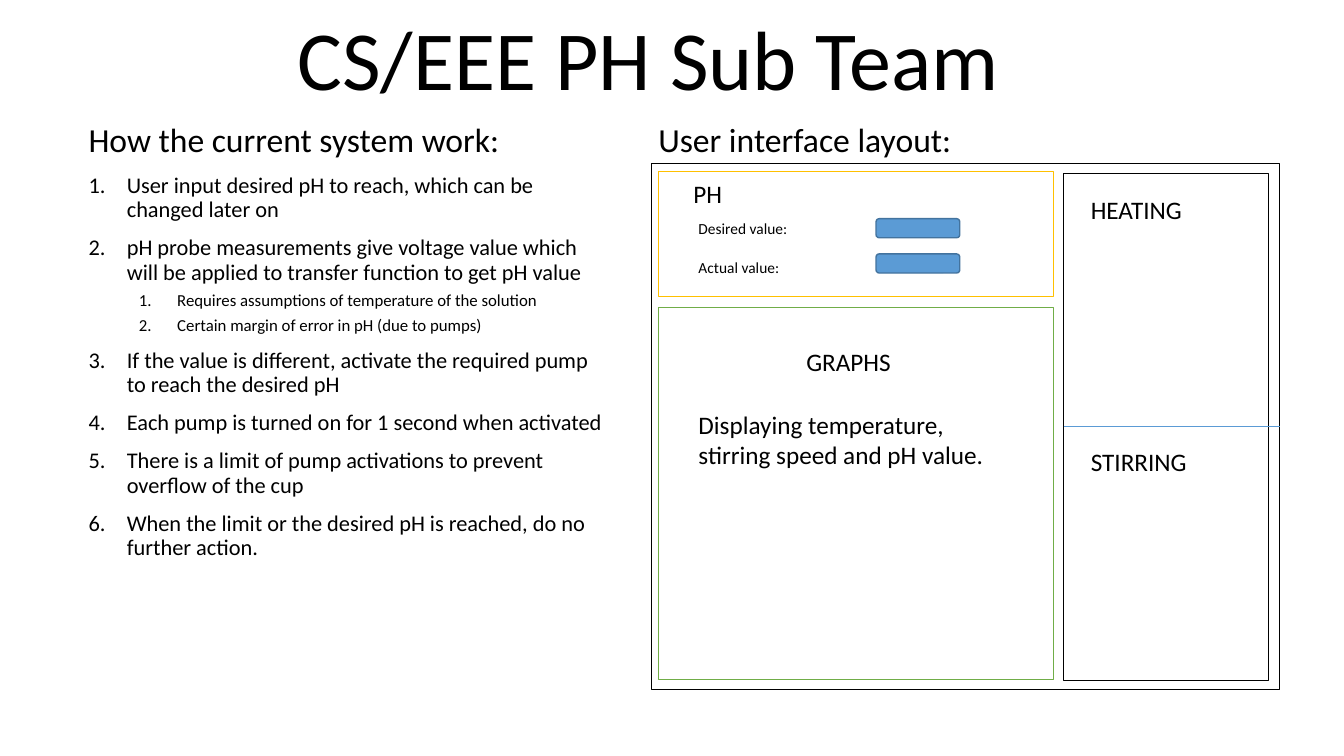
from lxml.etree import SubElement as Sub
from pptx import Presentation
from pptx.dml.color import RGBColor as RGB
from pptx.enum.shapes import MSO_CONNECTOR as LINK, MSO_SHAPE as FORM
from pptx.enum.text import MSO_ANCHOR as ANCHOR, MSO_AUTO_SIZE as FIT, PP_ALIGN as ALIGN
from pptx.oxml.ns import qn
from pptx.util import Inches, Pt

HUE = {"ink": "000000", "paper": "FFFFFF", "graph": "70AD47", "ph": "FFC000",
       "field": "5B9BD5", "edge": "43739E"}
FONT = "Calibri"
STEPS = [
    (0, "User input desired pH to reach, which can be changed later on"),
    (0, "pH probe measurements give voltage value which \vwill be applied to "
        "transfer function to get pH value"),
    (1, "Requires assumptions of temperature of the solution"),
    (1, "Certain margin of error in pH (due to pumps)"),
    (0, "If the value is different, activate the required pump\vto reach the desired pH"),
    (0, "Each pump is turned on for 1 second when activated"),
    (0, "There is a limit of pump activations to prevent\voverflow of the cup"),
    (0, "When the limit or the desired pH is reached, do no further action."),
]


def color(name):
    """Look up a named colour."""
    return RGB.from_string(HUE[name])


def part(box, x, y, w, h):
    """Give the box at percent shares of another box."""
    left, top, wide, high = box
    return (round(left + wide * x / 100), round(top + high * y / 100),
            round(wide * w / 100), round(high * h / 100))


def write(para, text, size=18, align=None, space=None, gap=None):
    """Fill a paragraph with formatted text."""
    para.text = text
    para.alignment, para.line_spacing = align, space
    if gap is not None:
        para.space_before = Pt(gap)
    for run in para.runs:
        run.font.name, run.font.size = FONT, Pt(size)
        run.font.color.rgb = color("ink")


def label(slide, box, text, **look):
    """Add a wrapped text box and return its frame."""
    frame = slide.shapes.add_textbox(*box).text_frame
    frame.word_wrap = True
    write(frame.paragraphs[0], text, **look)
    return frame


def panel(slide, box, line="ink", fill="paper", form=FORM.RECTANGLE):
    """Add an outlined panel and return its box."""
    shape = slide.shapes.add_shape(form, *box)
    shape.shadow.inherit = False
    shape.fill.solid()
    shape.fill.fore_color.rgb = color(fill)
    shape.line.color.rgb = color(line)
    shape.line.width = Pt(1)
    return box


def number(para, level):
    """Turn a paragraph into a numbered step."""
    para.level = level
    props = para._p.get_or_add_pPr()
    props.set("marL", str(Inches(0.38 + level / 2)))
    props.set("indent", str(-Inches(0.38)))
    Sub(props, qn("a:buFont"), typeface="+mj-lt")
    Sub(props, qn("a:buAutoNum"), type="arabicPeriod")


def head(slide, box):
    """Format the title placeholder."""
    title = slide.shapes.title
    title.left, title.top, title.width, title.height = box
    frame = title.text_frame
    frame.auto_size, frame.vertical_anchor = FIT.NONE, ANCHOR.BOTTOM
    write(frame.paragraphs[0], "CS/EEE PH Sub Team", size=60, align=ALIGN.CENTER, space=0.9)


def guide(slide, box):
    """List how the system works."""
    frame = label(slide, box, "How the current system work:", size=24, space=0.9, gap=10)
    for level, text in STEPS:
        para = frame.add_paragraph()
        write(para, text, size=(16, 12)[level], space=0.9, gap=(10, 5)[level])
        number(para, level)


def values(slide, box):
    """Draw the pH panel with its two value fields."""
    panel(slide, box, "ph")
    label(slide, part(box, 6.38, 1.6, 86.2, 32.3), "PH")
    for text, row, slot in (("Desired value:", 33.9, 37.9), ("Actual value:", 65.3, 66.1)):
        label(slide, part(box, 7.65, row, 50, 23.4), text, size=11)
        panel(slide, part(box, 55.1, slot, 21.2, 15.3), "edge", "field", FORM.ROUNDED_RECTANGLE)


def graphs(slide, box):
    """Draw the graph panel."""
    panel(slide, box, "graph")
    label(slide, part(box, 34.95, 9.2, 29.6, 10.8), "GRAPHS")
    label(slide, part(box, 7.65, 26, 85, 19.2),
          "Displaying temperature, stirring speed and pH value.")


def controls(slide, box):
    """Draw the heating and stirring panel, split by a line."""
    panel(slide, box)
    for text, row in (("HEATING", 3.2), ("STIRRING", 52.9)):
        label(slide, part(box, 8.4, row, 84.7, 8), text)
    left, top, wide, _ = part(box, 0, 49.9, 105.4, 0)
    line = slide.shapes.add_connector(LINK.STRAIGHT, left, top, left + wide, top)
    line.line.color.rgb = color("field")
    line.line.width = Pt(0.5)
    Sub(line._element.spPr, qn("a:effectLst"))


def screen(slide, box):
    """Draw the user interface layout."""
    panel(slide, box)
    graphs(slide, part(box, 1.12, 27.4, 62.9, 70.7))
    values(slide, part(box, 1.12, 1.53, 62.9, 23.75))
    controls(slide, part(box, 65.65, 1.9, 32.6, 96.4))


def build():
    """Build and save the slide."""
    deck = Presentation()
    deck.slide_width, deck.slide_height = Inches(13.33), Inches(7.5)
    page = (0, 0, deck.slide_width, deck.slide_height)
    slide = deck.slides.add_slide(deck.slide_layouts[5])
    head(slide, part(page, 10.73, 0, 75, 15.07))
    guide(slide, part(page, 5.85, 15.73, 39.7, 75.5))
    label(slide, part(page, 48.24, 15.73, 44.2, 75.5), "User interface layout:",
          size=24, space=0.9, gap=10)
    screen(slide, part(page, 48.46, 21.6, 46.74, 69.6))
    deck.save("out.pptx")


build()
